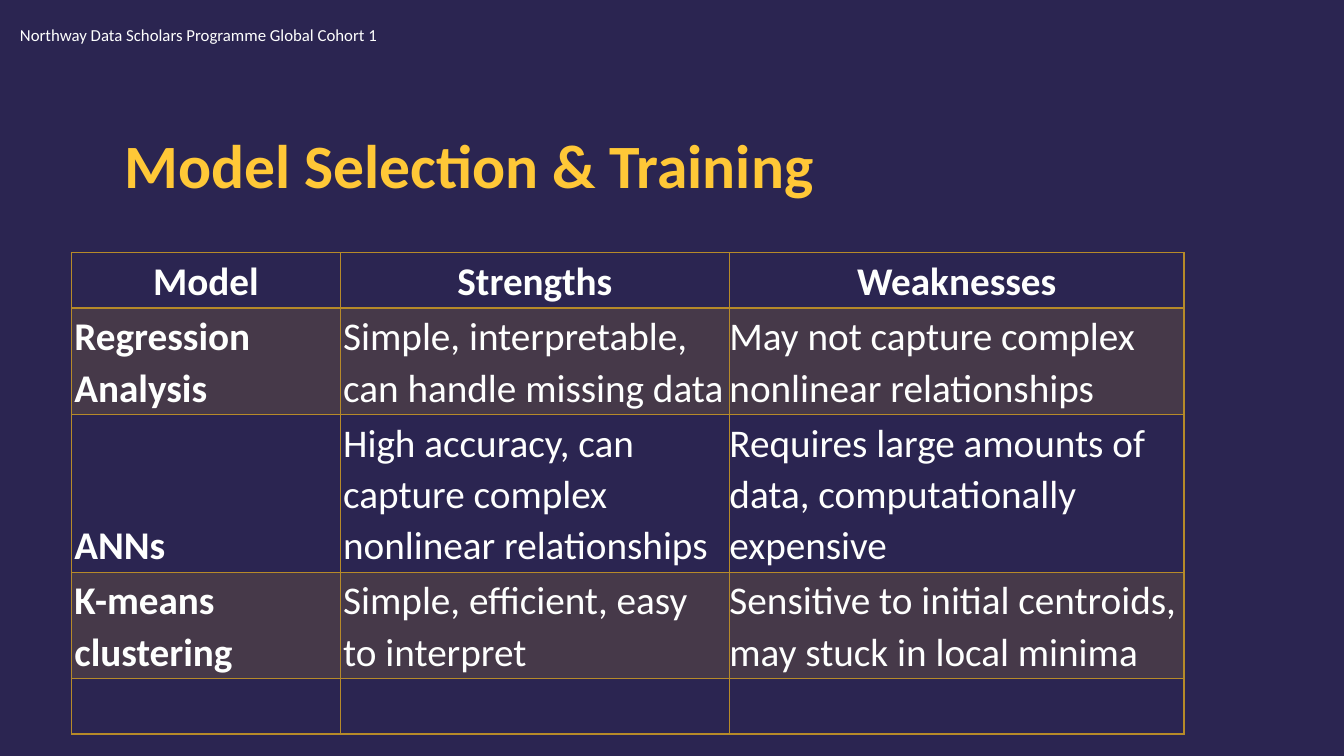
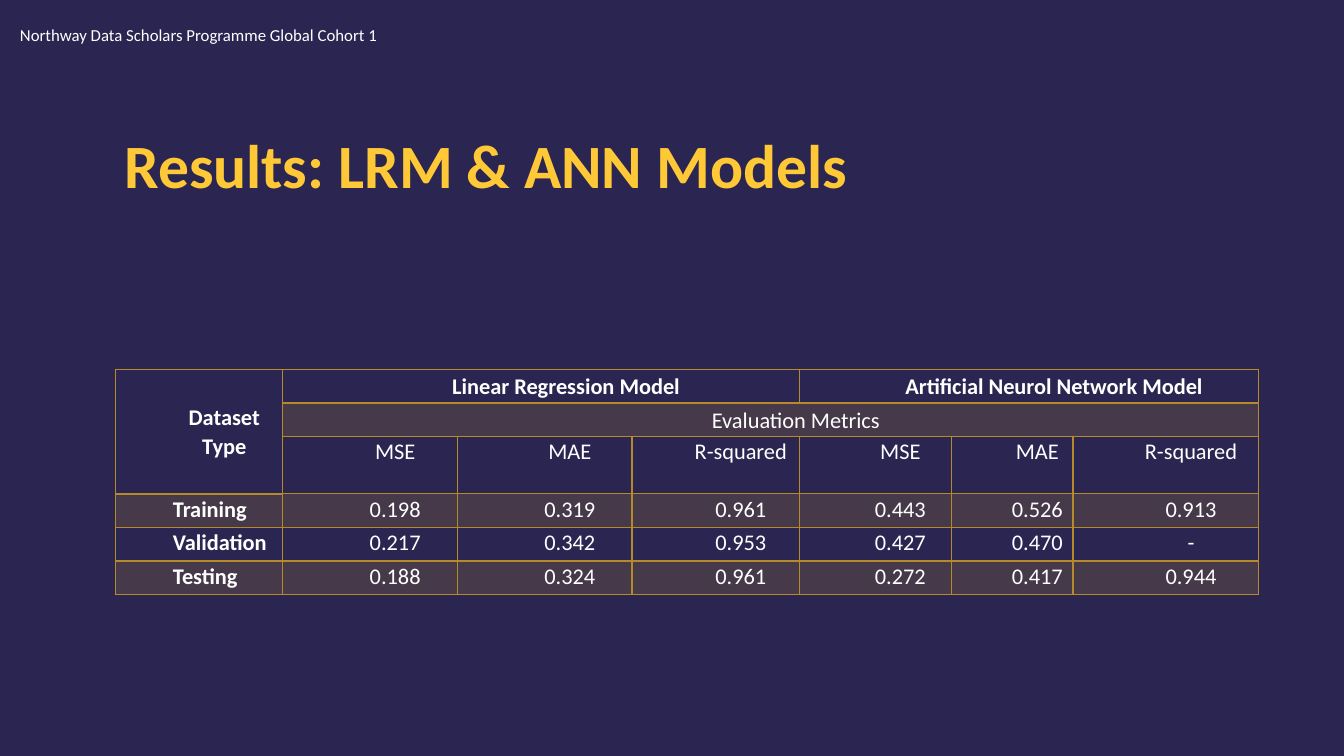
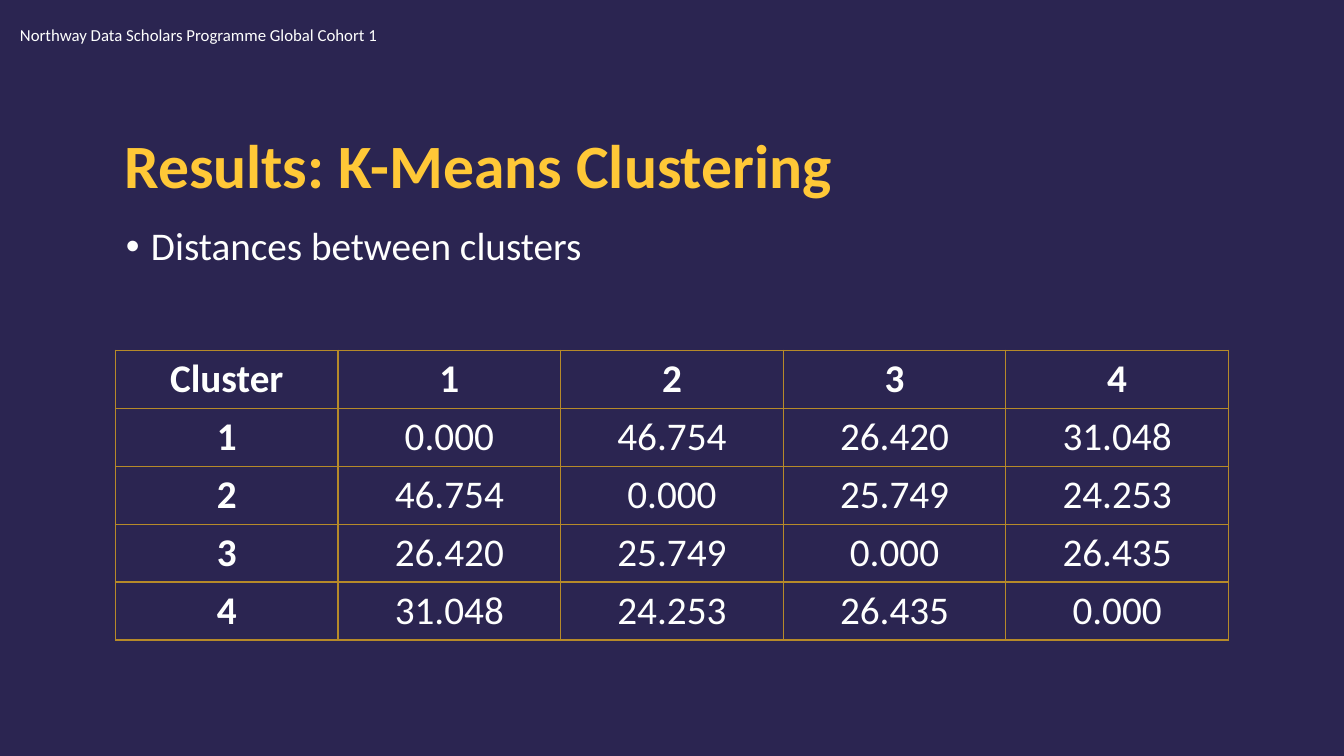
import dataclasses

import lxml.etree
import pptx
import pptx.dml.color
import pptx.enum.text
import pptx.oxml.ns
import pptx.util

ALIGN = pptx.enum.text.PP_ALIGN
ANCHOR = pptx.enum.text.MSO_ANCHOR
TITLE_ONLY = 5


@dataclasses.dataclass(frozen=True)
class Theme:
    font: str = "Calibri"
    background: str = "2B2551"
    gold: str = "FFC837"
    line: str = "B68A29"
    text: str = "FEFFFE"
    shade_percent: int = 20
    title_size: int = 44
    large_size: int = 28
    table_size: int = 16
    header_size: int = 12
    thin: int = 1
    heavy: int = 2


@dataclasses.dataclass(frozen=True)
class TableStyle:
    """Margins are inches (left and right, top and bottom); the indent is inches too."""
    size: int
    margins: tuple = (0.1, 0.05)
    indent: float = 0
    line_spacing: float = 1
    anchor: object = ANCHOR.MIDDLE
    shaded_rows: tuple = ()
    heavy_below: tuple = ()


def grid(units):
    """The slide is a grid of 160 columns by 90 rows with square cells."""
    return pptx.util.Inches(units / 12)


def color(value):
    return pptx.dml.color.RGBColor.from_string(value)


def add_element(parent, tag, **attributes):
    return lxml.etree.SubElement(parent, pptx.oxml.ns.qn(tag), attributes)


class Deck:
    def __init__(self, theme):
        self.theme = theme
        self.presentation = pptx.Presentation()
        self.presentation.slide_width = grid(160)
        self.presentation.slide_height = grid(90)
        fill = self.presentation.slide_master.background.fill
        fill.solid()
        fill.fore_color.rgb = color(theme.background)
        self.slide = None

    def format_runs(self, paragraph, size, text_color=None, bold=False):
        for run in paragraph.runs:
            run.font.name = self.theme.font
            run.font.size = pptx.util.Pt(size)
            run.font.bold = bold
            run.font.color.rgb = color(text_color or self.theme.text)

    def new_slide(self, title):
        layout = self.presentation.slide_layouts[TITLE_ONLY]
        self.slide = self.presentation.slides.add_slide(layout)
        shape = self.slide.shapes.title
        shape.left, shape.top = grid(13.6), grid(14)
        shape.width, shape.height = grid(132.7), grid(12.1)
        frame = shape.text_frame
        frame.text = title
        frame.auto_size = pptx.enum.text.MSO_AUTO_SIZE.NONE
        frame.vertical_anchor = ANCHOR.MIDDLE
        paragraph = frame.paragraphs[0]
        paragraph.alignment = ALIGN.LEFT
        paragraph.line_spacing = 0.9
        self.format_runs(paragraph, self.theme.title_size, self.theme.gold, bold=True)
        self.text_box("Northway Data Scholars Programme Global Cohort 1",
                      (1.2, 2.3, 66.5, 3.6), self.theme.header_size)

    def text_box(self, text, place, size):
        shape = self.slide.shapes.add_textbox(*map(grid, place))
        shape.text_frame.word_wrap = True
        shape.text_frame.text = text
        paragraph = shape.text_frame.paragraphs[0]
        self.format_runs(paragraph, size)
        return paragraph

    def bullet(self, text, place):
        paragraph = self.text_box(text, place, self.theme.large_size)
        paragraph.line_spacing = 0.9
        paragraph.space_before = pptx.util.Pt(10)
        properties = paragraph._p.get_or_add_pPr()
        indent = pptx.util.Inches(0.25)
        properties.set("marL", str(indent))
        properties.set("indent", str(-indent))
        add_element(properties, "a:buFont", typeface="Arial")
        add_element(properties, "a:buChar", char="•")

    def table(self, corner, columns, rows, values, style, merges=()):
        """Merges are (first row, first column, last row, last column)."""
        frame = self.slide.shapes.add_table(
            len(rows), len(columns), *map(grid, (*corner, sum(columns), sum(rows))))
        table = frame.table
        table.first_row = table.horz_banding = False
        for column, width in zip(table.columns, columns):
            column.width = grid(width)
        for row, height in zip(table.rows, rows):
            row.height = grid(height)
        for top, left, bottom, right in merges:
            table.cell(top, left).merge(table.cell(bottom, right))
        for r, row_values in enumerate(values):
            for c, value in enumerate(row_values):
                cell = table.cell(r, c)
                self.shade(cell, r in style.shaded_rows and not cell.is_spanned)
                self.borders(cell, top=(r - 1, c) in style.heavy_below,
                             bottom=(r, c) in style.heavy_below)
                if value:
                    self.cell_text(cell, value, style, bold=r == 0 or c == 0)
        return table

    def cell_text(self, cell, value, style, bold):
        cell.text_frame.text = value
        cell.vertical_anchor = style.anchor
        cell.margin_left = cell.margin_right = pptx.util.Inches(style.margins[0])
        cell.margin_top = cell.margin_bottom = pptx.util.Inches(style.margins[1])
        paragraph = cell.text_frame.paragraphs[0]
        paragraph.alignment = ALIGN.CENTER
        paragraph.line_spacing = style.line_spacing
        if style.indent:
            properties = paragraph._p.get_or_add_pPr()
            properties.set("marL", str(pptx.util.Inches(style.indent)))
            properties.set("indent", "0")
        self.format_runs(paragraph, style.size, bold=bold)

    def shade(self, cell, shaded):
        if not shaded:
            cell.fill.background()
            return
        cell.fill.solid()
        cell.fill.fore_color.rgb = color(self.theme.line)
        fill_color = cell._tc.tcPr.find(".//" + pptx.oxml.ns.qn("a:srgbClr"))
        add_element(fill_color, "a:alpha", val=str(self.theme.shade_percent * 1000))

    def borders(self, cell, top, bottom):
        properties = cell._tc.get_or_add_tcPr()
        sides = {"a:lnL": False, "a:lnR": False, "a:lnT": top, "a:lnB": bottom}
        for position, (tag, is_heavy) in enumerate(sides.items()):
            width = self.theme.heavy if is_heavy else self.theme.thin
            line = add_element(properties, tag, w=str(pptx.util.Pt(width)))
            add_element(add_element(line, "a:solidFill"), "a:srgbClr", val=self.theme.line)
            properties.insert(position, line)


def model_selection(deck):
    deck.new_slide("Model Selection & Training")
    values = [
        ["Model", "Strengths", "Weaknesses"],
        ["Regression Analysis", "Simple, interpretable, can handle missing data",
         "May not capture complex nonlinear relationships"],
        ["ANNs", "High accuracy, can capture complex nonlinear relationships",
         "Requires large amounts of data, computationally expensive"],
        ["K-means clustering", "Simple, efficient, easy to interpret",
         "Sensitive to initial centroids, may stuck in local minima"],
        ["", "", ""],
    ]
    style = TableStyle(deck.theme.large_size, margins=(0.03, 0.02), line_spacing=1.07,
                       anchor=ANCHOR.BOTTOM, shaded_rows=(1, 3),
                       heavy_below=((0, 0), (0, 1), (0, 2)))
    table = deck.table((8.5, 30.1), (32, 46.35, 54.1), (6.6, 12.65, 18.8, 12.65, 6.6),
                       values, style)
    for r in range(1, 4):
        for c in range(3):
            table.cell(r, c).text_frame.paragraphs[0].alignment = ALIGN.LEFT
        table.cell(r, 2).margin_left = table.cell(r, 2).margin_right = 0


def model_results(deck):
    deck.new_slide("Results: LRM & ANN Models")
    metrics = ["MSE", "MAE", "R-squared"]
    values = [
        ["Dataset Type", "Linear Regression Model", None, None,
         "Artificial Neurol Network Model", None, None],
        [None, "Evaluation Metrics", None, None, None, None, None],
        [None, *metrics, *metrics],
        ["Training", "0.198", "0.319", "0.961", "0.443", "0.526", "0.913"],
        ["Validation", "0.217", "0.342", "0.953", "0.427", "0.470", "-"],
        ["Testing", "0.188", "0.324", "0.961", "0.272", "0.417", "0.944"],
    ]
    style = TableStyle(deck.theme.table_size, margins=(0.07, 0), indent=0.5,
                       line_spacing=1.07, shaded_rows=(1, 3, 5),
                       heavy_below=((2, 0), *((0, c) for c in range(1, 7))))
    table = deck.table((13.75, 43.95), (19.9, 20.8, 20.8, 19.9, 18.1, 14.5, 22.1),
                       (4, 4, 6.8, 4, 4, 4), values, style,
                       merges=((0, 0, 2, 0), (0, 1, 0, 3), (0, 4, 0, 6), (1, 1, 1, 6)))
    for r in range(2, 6):
        for c in range(7):
            if not table.cell(r, c).is_spanned:
                table.cell(r, c).vertical_anchor = ANCHOR.TOP
    for r in range(3, 6):
        table.cell(r, 0).text_frame.paragraphs[0].alignment = ALIGN.JUSTIFY


def cluster_results(deck):
    deck.new_slide("Results: K-Means Clustering")
    deck.bullet("Distances between clusters", (13.8, 26.4, 132.5, 54.7))
    values = [
        ["Cluster", "1", "2", "3", "4"],
        ["1", "0.000", "46.754", "26.420", "31.048"],
        ["2", "46.754", "0.000", "25.749", "24.253"],
        ["3", "26.420", "25.749", "0.000", "26.435"],
        ["4", "31.048", "24.253", "26.435", "0.000"],
    ]
    deck.table((13.75, 41.7), [26.5] * 5, [6.9] * 5, values,
               TableStyle(deck.theme.large_size))


def main():
    deck = Deck(Theme())
    model_selection(deck)
    model_results(deck)
    cluster_results(deck)
    deck.presentation.save("out.pptx")


if __name__ == "__main__":
    main()
